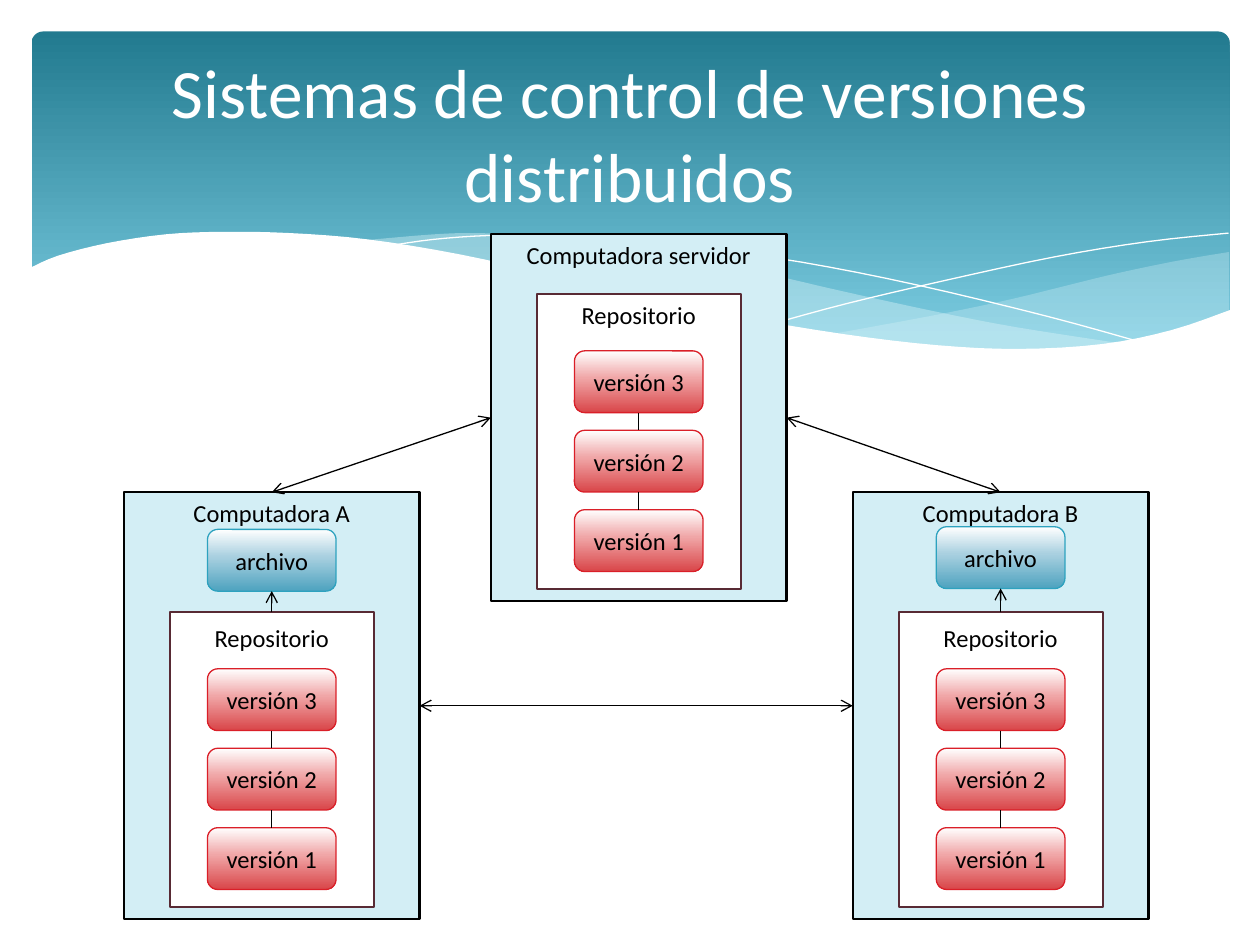
from lxml.etree import SubElement
from pptx import Presentation
from pptx.dml.color import RGBColor
from pptx.enum.shapes import MSO_CONNECTOR as Connector, MSO_SHAPE as Preset
from pptx.enum.text import MSO_ANCHOR as Anchor, MSO_AUTO_SIZE as AutoSize, PP_ALIGN as Align
from pptx.oxml.ns import qn
from pptx.util import Pt

COLORS = {
    "white": "FFFFFF", "black": "000000", "wave": "DEF5FA",
    "computer": "D3EEF5", "repository": "582A34",
    "version": "DA1F28", "file": "2DA2BF",
}
BANNER_STOPS = [(0, "227A8F"), (90, "7ACBE0")]
VERSION_STOPS = [(0, "FFFFFF"), (44, "F0A6A7"), (100, "D94649")]
FILE_STOPS = [(0, "FFFFFF"), (44, "A9D0E0"), (100, "4EA3BF")]
FONT = "Calibri"
TOP, LEFT, BOTTOM, RIGHT = range(4)

RIGHT_WAVE = [
    [(702.5, 144), (673, 149), (641.5, 155.5), (620, 160.6), (579.6, 170.6),
     (542, 178.6), (508, 185), (476, 190.8)],
    [(476, 190.8), (507.6, 195), (545, 198.7), (578, 200), (615, 198.7),
     (646, 194.4), (673, 188.6), (702.5, 177.8)],
]
LONG_WAVE = [
    [(643, 196.6), (581, 187), (533.5, 177.8), (481, 166.3), (453, 159.8), (409.7, 149.8),
     (370, 142.6), (334.8, 137.5), (302.4, 134.6), (273.6, 133.2), (247.7, 133.9), (206, 137.5)],
    [(206, 137.5), (246, 143.3), (291, 152), (323.3, 159.8), (381.6, 172.8), (432.7, 183.6),
     (478.8, 191.5), (519.8, 197.3), (556.6, 199.4), (589, 200.2), (617, 199.4), (643, 196.6)],
]
FALLING_LINE = [
    [(222.5, 140.4), (247.7, 136.8), (278.6, 134.6), (311.8, 134.6), (352, 136.8),
     (400.3, 141.8), (458, 149.8), (523.4, 162.7), (598.3, 180.7), (653, 195.8)],
]
RISING_LINE = [
    [(441.4, 185), (483.8, 173.5), (538.6, 160.6), (602, 146.9), (655, 138.2), (702, 133.2)],
]
LOWER_EDGE = [
    [(703.4, 177), (669.6, 188.6), (630, 196.6), (582.5, 199.4), (535.7, 197.3), (481, 190.8),
     (417, 180), (362, 167.8), (321.8, 158.4), (262.8, 145.4), (210, 136.8), (165.6, 133.2),
     (127.4, 132.5), (95, 133.9), (61, 139), (33, 146.2), (16.6, 153.4)],
    [(16.6, 237), (703.4, 237)],
]


def color(name):
    """Return the named colour."""
    return RGBColor.from_string(COLORS[name])


def paint(shape, fill=None, line=None, width=0.75, opacity=None):
    """Set the solid fill, opacity and outline of a shape, without shadow."""
    shape.shadow.inherit = False
    if fill:
        shape.fill.solid()
        shape.fill.fore_color.rgb = color(fill)
    else:
        shape.fill.background()
    if opacity:
        tint = shape.fill._xPr.find(qn("a:solidFill"))[0]
        SubElement(tint, qn("a:alpha"), val=str(opacity * 1000))
    if line:
        shape.line.color.rgb = color(line)
        shape.line.width = Pt(width)
    else:
        shape.line.fill.background()


def shade(shape, stops):
    """Fill a shape with a gradient from top to bottom."""
    shape.fill.gradient()
    shape.fill.gradient_angle = 270
    stop_list = shape.fill._xPr.find(".//" + qn("a:gsLst"))
    for old in list(stop_list):
        stop_list.remove(old)
    for percent, value in stops:
        stop = SubElement(stop_list, qn("a:gs"), pos=str(percent * 1000))
        SubElement(stop, qn("a:srgbClr"), val=value)


def write(shape, text, size=14, ink="black"):
    """Put one centred paragraph into a shape."""
    para = shape.text_frame.paragraphs[0]
    para.text = text
    para.alignment = Align.CENTER
    font = para.runs[0].font
    font.name, font.size = FONT, Pt(size)
    font.color.rgb = color(ink)


def add_box(page, preset, box, **look):
    """Add a painted preset shape at a box given in points."""
    shape = page.shapes.add_shape(preset, *map(Pt, box))
    paint(shape, **look)
    return shape


def add_label(page, text, center, top):
    """Add an unwrapped label centred on a vertical axis."""
    label = page.shapes.add_textbox(Pt(center - 75), Pt(top), Pt(150), Pt(24.5))
    label.text_frame.word_wrap = False
    label.text_frame.auto_size = AutoSize.SHAPE_TO_FIT_TEXT
    write(label, text)


def add_node(page, text, center, top, stops, line):
    """Add a shaded rounded node centred on a vertical axis."""
    node = add_box(page, Preset.ROUNDED_RECTANGLE, (center - 36.75, top, 73.5, 35.3), line=line)
    shade(node, stops)
    node.text_frame.word_wrap = True
    node.text_frame.vertical_anchor = Anchor.MIDDLE
    write(node, text)
    return node


def join(page, start, start_side, end, end_side, arrows=()):
    """Connect two shapes, with arrowheads at the listed ends."""
    link = page.shapes.add_connector(Connector.STRAIGHT, 0, 0, 0, 0)
    link.begin_connect(start, start_side)
    link.end_connect(end, end_side)
    link.line.color.rgb = color("black")
    link.line.width = Pt(0.75)
    outline = link.line._get_or_add_ln()
    for arrow in arrows:
        SubElement(outline, qn(f"a:{arrow}"), type="arrow")
    SubElement(link._element.spPr, qn("a:effectLst"))


def smooth(points, steps=4):
    """Return points along a Catmull-Rom curve through the given ones."""
    if len(points) < 3:
        return points
    padded = [points[0], *points, points[-1]]
    curve = [points[0]]
    for quad in zip(padded, padded[1:], padded[2:], padded[3:]):
        for step in range(1, steps + 1):
            t = step / steps
            curve.append(tuple(
                b + t * (c - a) / 2 + t**2 * (a - 2.5 * b + 2 * c - d / 2)
                + t**3 * (1.5 * (b - c) + (d - a) / 2)
                for a, b, c, d in zip(*quad)))
    return curve


def add_wave(page, box, curves, closed=True, **look):
    """Draw smooth curves, joined end to end, relative to a box."""
    left, top = box[:2]
    points = [(Pt(left + x), Pt(top + y)) for curve in curves for x, y in smooth(curve)]
    builder = page.shapes.build_freeform(*points[0], scale=1.0)
    builder.add_line_segments(points[1:], close=closed)
    paint(builder.convert_to_shape(), **look)


def add_header(page, box, title):
    """Draw the banner with its waves and the title."""
    left, top, width, height = box
    banner = add_box(page, Preset.ROUNDED_RECTANGLE, (left + 18, top + 18, width - 35.3, 194.4))
    banner.adjustments[0] = 0.034
    shade(banner, BANNER_STOPS)
    add_wave(page, box, RIGHT_WAVE, fill="wave", opacity=29)
    add_wave(page, box, LONG_WAVE, fill="wave", opacity=40)
    for curves in (FALLING_LINE, RISING_LINE):
        add_wave(page, box, curves, closed=False, line="white", width=0)
    add_wave(page, box, LOWER_EDGE, fill="white")
    heading = page.shapes.add_textbox(Pt(left + 36), Pt(top + 26.6), Pt(width - 72), Pt(98.6))
    heading.text_frame.word_wrap = True
    heading.text_frame.vertical_anchor = Anchor.MIDDLE
    write(heading, title, 39.6, "white")


def add_computer(page, box, name, label_drop=0, file_drop=None):
    """Draw a computer with its repository and, optionally, a working file."""
    left, top, width, height = box
    center = left + width / 2
    computer = add_box(page, Preset.RECTANGLE, box, fill="computer", line="black", width=1.25)
    store_top = top + height - 175.5
    store = add_box(page, Preset.RECTANGLE, (center - 58.3, store_top, 116.6, 168.5),
                    fill="white", line="repository", width=1.25)
    add_label(page, "Repositorio", center, store_top + label_drop)
    versions = [add_node(page, f"versión {3 - row}", center, store_top + 32.4 + 45.4 * row,
                         VERSION_STOPS, "version") for row in range(3)]
    for upper, lower in zip(versions, versions[1:]):
        join(page, upper, BOTTOM, lower, TOP)
    add_label(page, name, center, top)
    if file_drop is not None:
        file = add_node(page, "archivo", center, top + file_drop, FILE_STOPS, "file")
        join(page, store, TOP, file, BOTTOM, ["tailEnd"])
    return computer


def main():
    """Build and save the deck."""
    deck = Presentation()
    deck.slide_width, deck.slide_height = Pt(720), Pt(540)
    page = deck.slides.add_slide(deck.slide_layouts[6])
    add_header(page, (0, 0, 720, 237), "Sistemas de control de versiones distribuidos")
    server = add_computer(page, (280.5, 133.8, 169, 209.8), "Computadora servidor")
    first = add_computer(page, (70.8, 281.3, 169, 244), "Computadora A", 2.9, 21.2)
    second = add_computer(page, (487.3, 281.3, 169, 244), "Computadora B", 2.9, 19.7)
    both = ["headEnd", "tailEnd"]
    join(page, first, TOP, server, LEFT, both)
    join(page, server, RIGHT, second, TOP, both)
    join(page, first, RIGHT, second, LEFT, both)
    deck.save("out.pptx")


if __name__ == "__main__":
    main()
